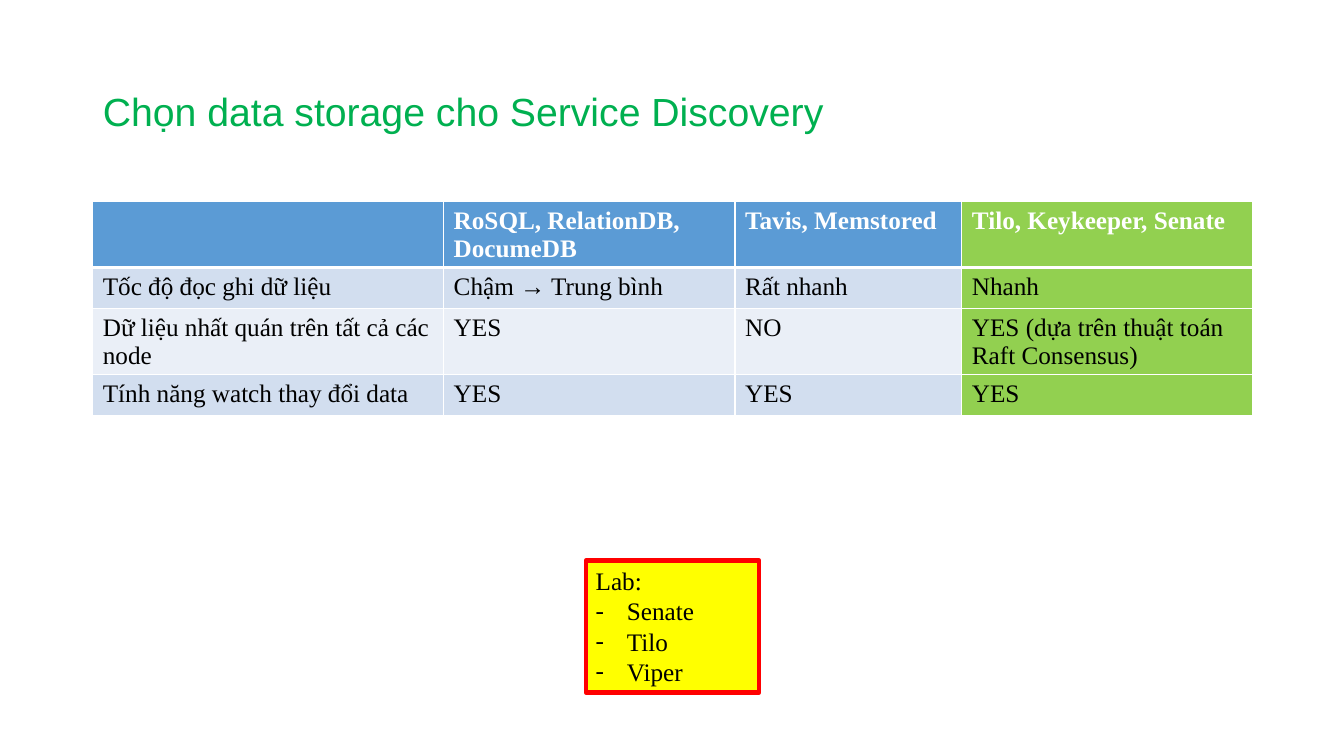
from lxml import etree
from pptx import Presentation
from pptx.dml.color import RGBColor
from pptx.enum import shapes, text
from pptx.oxml.ns import qn
from pptx.util import Inches, Pt

GREEN = RGBColor(0x00, 0xB0, 0x50)
BLUE = RGBColor(0x5B, 0x9B, 0xD5)
LIME = RGBColor(0x92, 0xD0, 0x50)
BANDS = RGBColor(0xD2, 0xDE, 0xEF), RGBColor(0xEA, 0xEF, 0xF7)
YELLOW = RGBColor(0xFF, 0xFF, 0x00)
RED = RGBColor(0xFF, 0x00, 0x00)
WHITE = RGBColor(0xFF, 0xFF, 0xFF)
BLACK = RGBColor(0x00, 0x00, 0x00)
SERIF = "Times New Roman"

TITLE = "Chọn data storage cho Service Discovery"
COMPARISON = [
    ("", "RoSQL, RelationDB, DocumeDB", "Tavis, Memstored", "Tilo, Keykeeper, Senate"),
    ("Tốc độ đọc ghi dữ liệu", "Chậm → Trung bình", "Rất nhanh", "Nhanh"),
    ("Dữ liệu nhất quán trên tất cả các node", "YES", "NO",
     "YES (dựa trên thuật toán Raft Consensus)"),
    ("Tính năng watch thay đổi data", "YES", "YES", "YES"),
]
COLUMN_WIDTHS = 3.48, 2.89, 2.25, 2.88
ROW_HEIGHT = 0.41
LAB_HEADING = "Lab:"
LAB_TOOLS = ["Senate", "Tilo", "Viper"]


def add_run(paragraph, words, size, color, font=SERIF, bold=False):
    """Append one formatted run to the paragraph."""
    run = paragraph.add_run()
    run.text = words
    run.font.name, run.font.size, run.font.bold = font, Pt(size), bold
    run.font.color.rgb = color


def set_borders(cell, bottom):
    """Draw white borders round a cell, before its fill is set."""
    properties = cell._tc.get_or_add_tcPr()
    for side, width in (("L", 1), ("R", 1), ("T", 1), ("B", bottom)):
        line = etree.SubElement(properties, qn(f"a:ln{side}"), w=str(Pt(width)))
        fill = etree.SubElement(line, qn("a:solidFill"))
        etree.SubElement(fill, qn("a:srgbClr"), val=str(WHITE))


def add_title(slide):
    """Place and format the slide title."""
    title = slide.shapes.title
    title.left, title.top = Inches(0.92), Inches(0.4)
    title.width, title.height = Inches(11.5), Inches(1.45)
    title.text_frame.vertical_anchor = text.MSO_ANCHOR.MIDDLE
    heading = title.text_frame.paragraphs[0]
    heading.alignment = text.PP_ALIGN.LEFT
    heading.line_spacing = 0.9
    add_run(heading, TITLE, 28, GREEN, "Arial")


def add_comparison(slide):
    """Add the table that compares the storage options."""
    rows, columns = len(COMPARISON), len(COLUMN_WIDTHS)
    table = slide.shapes.add_table(
        rows, columns, Inches(0.92), Inches(2),
        Inches(sum(COLUMN_WIDTHS)), Inches(ROW_HEIGHT * rows)).table
    for column, width in zip(table.columns, COLUMN_WIDTHS):
        column.width = Inches(width)
    for r, entries in enumerate(COMPARISON):
        table.rows[r].height = Inches(ROW_HEIGHT)
        header = r == 0
        for c, entry in enumerate(entries):
            cell = table.cell(r, c)
            set_borders(cell, 3 if header else 1)
            cell.fill.solid()
            recommended = c == columns - 1
            cell.fill.fore_color.rgb = (
                LIME if recommended else BLUE if header else BANDS[(r - 1) % 2])
            if entry:
                add_run(cell.text_frame.paragraphs[0], entry, 18,
                        WHITE if header else BLACK, bold=header)


def add_lab(slide):
    """Add the box that lists the lab tools."""
    lab = slide.shapes.add_shape(
        shapes.MSO_SHAPE.RECTANGLE, Inches(5.81), Inches(5.56), Inches(1.72), Inches(1.31))
    lab.shadow.inherit = False
    lab.fill.solid()
    lab.fill.fore_color.rgb = YELLOW
    lab.line.color.rgb = RED
    lab.line.width = Pt(3)
    frame = lab.text_frame
    frame.word_wrap = True
    frame.auto_size = text.MSO_AUTO_SIZE.SHAPE_TO_FIT_TEXT
    frame.vertical_anchor = text.MSO_ANCHOR.TOP
    for i, words in enumerate([LAB_HEADING] + LAB_TOOLS):
        paragraph = frame.add_paragraph() if i else frame.paragraphs[0]
        paragraph.alignment = text.PP_ALIGN.LEFT
        add_run(paragraph, words, 18, BLACK)
        if i:
            properties = paragraph._p.get_or_add_pPr()
            properties.set("marL", str(Inches(0.31)))
            properties.set("indent", str(-Inches(0.31)))
            etree.SubElement(properties, qn("a:buFont"), typeface=SERIF)
            etree.SubElement(properties, qn("a:buChar"), char="-")


def main():
    """Build the slide and save it."""
    deck = Presentation()
    deck.slide_width, deck.slide_height = Inches(13.33), Inches(7.5)
    slide = deck.slides.add_slide(deck.slide_layouts[5])
    add_title(slide)
    add_comparison(slide)
    add_lab(slide)
    deck.save("out.pptx")


main()
